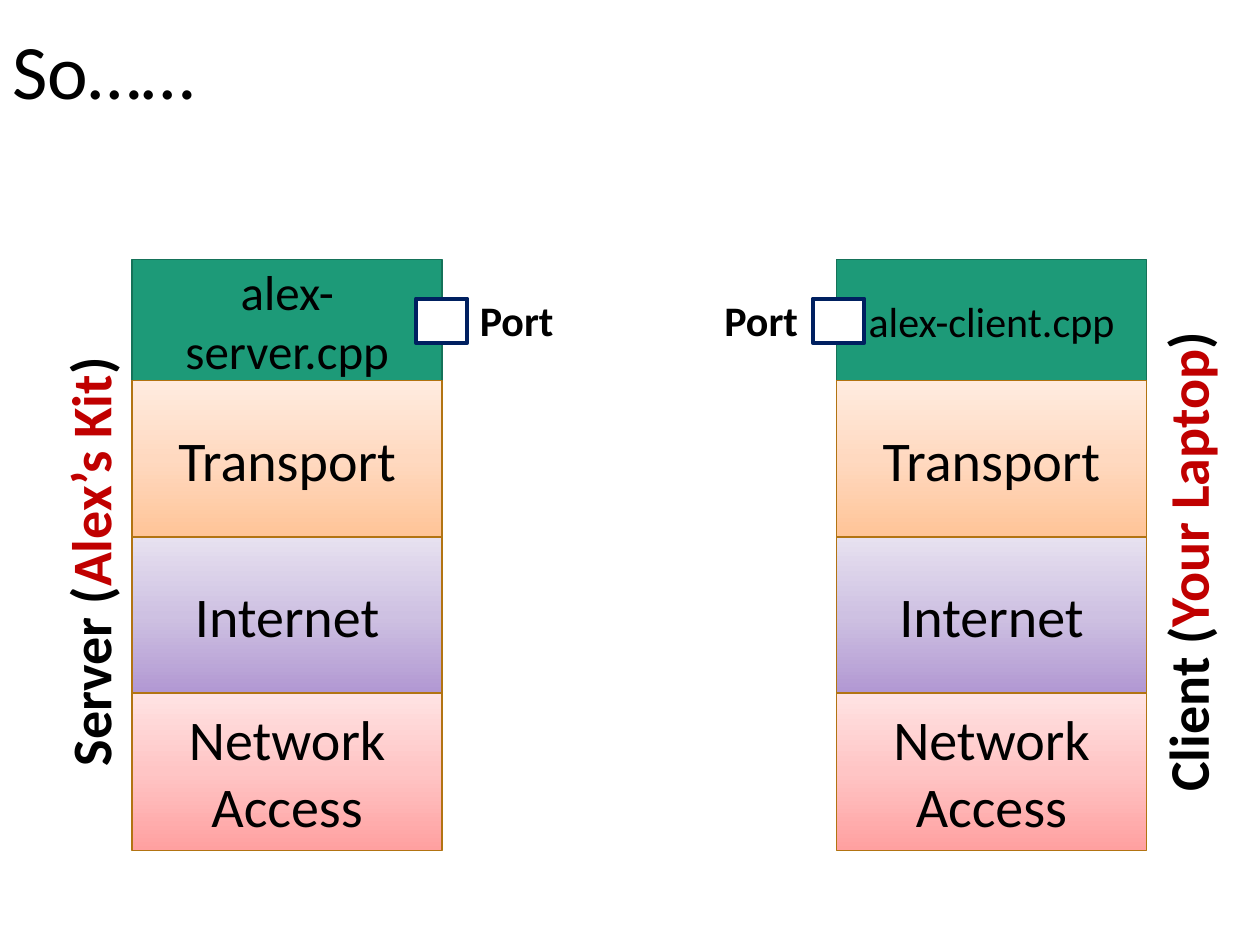
from copy import deepcopy

from pptx import Presentation
from pptx.dml.color import RGBColor
from pptx.enum.shapes import MSO_SHAPE as Shape
from pptx.enum.text import MSO_ANCHOR as Anchor, PP_ALIGN as Align
from pptx.oxml.ns import qn
from pptx.util import Inches, Pt

FONT = "Calibri"
BLACK, RED = "000000", "C00000"
STACK_WIDTH, APP_TOP, APP_HEIGHT = 2.46, 2.06, 0.97
LAYER_TOP, LAYER_HEIGHT, LAYER_STEP = 3.02, 1.25, 1.24
# Layers from top to bottom, each with its gradient from bottom to top
LAYERS = [
    ("Transport", ["FFC497", "FFD9C0", "FFECE0"]),
    ("Internet", ["B197D2", "CEC1E2", "E7E1F0"]),
    ("Network Access", ["FFA0A0", "FFC5C5", "FFE3E3"]),
]


def color(hex_code):
    return RGBColor.from_string(hex_code)


def write(shape, parts, size, bold=False, align=Align.LEFT, anchor=Anchor.MIDDLE):
    """Fill a shape with one paragraph made of (text, colour) parts."""
    frame = shape.text_frame
    frame.word_wrap = True
    frame.vertical_anchor = anchor
    paragraph = frame.paragraphs[0]
    paragraph.alignment = align
    for text, hex_code in parts:
        run = paragraph.add_run()
        run.text = text
        run.font.name = FONT
        run.font.size = Pt(size)
        run.font.bold = bold
        run.font.color.rgb = color(hex_code)


def add_label(slide, left, top, width, height, parts, size, **style):
    label = slide.shapes.add_textbox(
        Inches(left), Inches(top), Inches(width), Inches(height))
    write(label, parts, size, **style)
    return label


def add_box(slide, left, top, width, height, line, line_width=1):
    box = slide.shapes.add_shape(
        Shape.RECTANGLE, Inches(left), Inches(top), Inches(width), Inches(height))
    box.shadow.inherit = False
    box.line.color.rgb = color(line)
    box.line.width = Pt(line_width)
    return box


def fill_solid(box, hex_code):
    box.fill.solid()
    box.fill.fore_color.rgb = color(hex_code)


def fill_upward(box, hex_codes):
    """Apply a three-stop gradient that runs from bottom to top."""
    box.fill.gradient()
    box.fill.gradient_angle = 90
    stop_list = box._element.spPr.find(qn("a:gradFill")).find(qn("a:gsLst"))
    stop_list.insert(1, deepcopy(stop_list[0]))
    for stop, position, hex_code in zip(box.fill.gradient_stops, (0, 0.5, 1), hex_codes):
        stop.position = position
        stop.color.rgb = color(hex_code)


def add_host(slide, left, program, program_size, role, machine, role_left,
             port_left, port_label_left):
    """Draw one machine: its program, role, port and the layers below."""
    app = add_box(slide, left, APP_TOP, STACK_WIDTH, APP_HEIGHT, "157259")
    fill_solid(app, "1D9A78")
    write(app, [(program, BLACK)], program_size, align=Align.CENTER)

    role_label = add_label(
        slide, role_left, 4.14, 4.08, 0.64,
        [(f"{role} (", BLACK), (machine, RED), (")", BLACK)], 32,
        bold=True, align=Align.CENTER, anchor=Anchor.TOP)
    role_label.rotation = 270

    port = add_box(slide, port_left, 2.37, 0.41, 0.35, "002060", 2.25)
    fill_solid(port, "FFFFFF")
    add_label(slide, port_label_left, 2.29, 1.09, 0.5, [("Port", BLACK)], 24,
              bold=True, anchor=Anchor.TOP)

    for level, (name, gradient) in enumerate(LAYERS):
        layer = add_box(slide, left, LAYER_TOP + level * LAYER_STEP,
                        STACK_WIDTH, LAYER_HEIGHT, "B27412")
        fill_upward(layer, gradient)
        write(layer, [(name, BLACK)], 32, align=Align.CENTER)


def add_title(slide, text):
    title = add_label(slide, 0, 0, 10, 1.18, [(text, BLACK)], 44)
    title.text_frame.paragraphs[0].line_spacing = 0.9


def main():
    deck = Presentation()
    deck.slide_width, deck.slide_height = Inches(10), Inches(7.5)
    slide = deck.slides.add_slide(deck.slide_layouts[6])
    add_title(slide, "So……")
    add_host(slide, 1.05, "alex-server.cpp", 28, "Server", "Alex’s Kit",
             role_left=-1.33, port_left=3.3, port_label_left=3.71)
    add_host(slide, 6.64, "alex-client.cpp", 24, "Client", "Your Laptop",
             role_left=7.38, port_left=6.45, port_label_left=5.65)
    deck.save("out.pptx")


if __name__ == "__main__":
    main()
